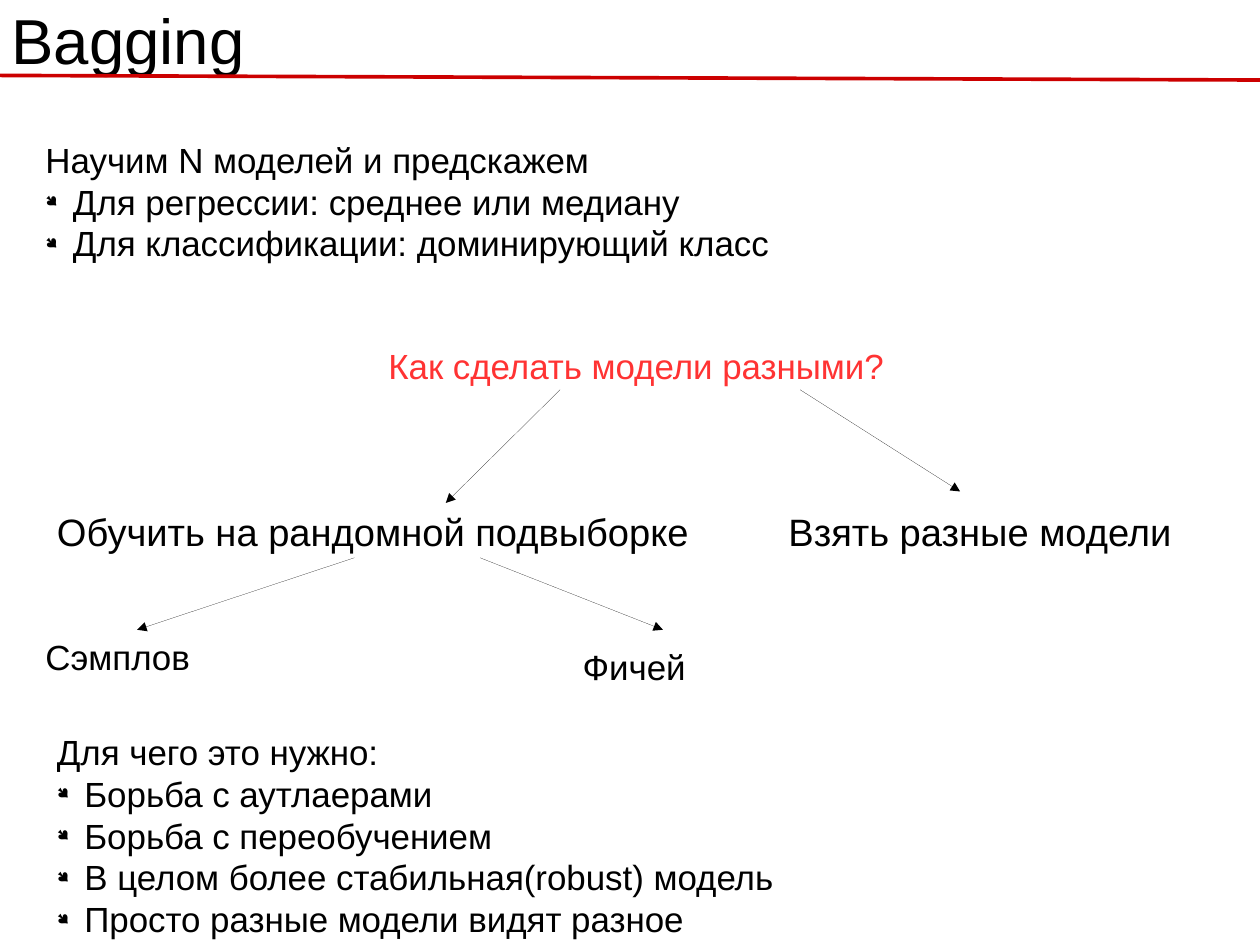
from dataclasses import dataclass

from lxml import etree
from pptx import Presentation
from pptx.dml.color import RGBColor
from pptx.enum.shapes import MSO_CONNECTOR
from pptx.enum.text import MSO_ANCHOR
from pptx.oxml.ns import qn
from pptx.slide import Slide
from pptx.util import Inches, Pt

STRAIGHT = MSO_CONNECTOR.STRAIGHT
TOP, MIDDLE = MSO_ANCHOR.TOP, MSO_ANCHOR.MIDDLE
FONT, BULLET_FONT = "Arial", "Wingdings"
COLORS = {"text": "000000", "question": "FF3333", "rule": "CC0000"}
CM_PER_INCH = 2.54
PAGE_WIDTH, PAGE_HEIGHT = 28 / CM_PER_INCH, 21 / CM_PER_INCH
BULLET_INDENT = Inches(0.24)


@dataclass(frozen=True)
class TextBlock:
    left: float
    top: float
    width: float
    height: float
    heading: str
    bullets: tuple[str, ...] = ()
    size: int = 22
    color: str = "text"


@dataclass(frozen=True)
class Line:
    start: tuple[float, float]
    end: tuple[float, float]
    color: str = "text"
    width: float = 0
    arrow: bool = True


TITLE = TextBlock(0.1, 0.03, 9.92, 0.62, "Bagging", size=40)
BLOCKS = (
    TextBlock(0.3, 1.16, 10.5, 1.81, "Научим N моделей и предскажем", (
        "Для регрессии: среднее или медиану",
        "Для классификации: доминирующий класс",
    )),
    TextBlock(3.3, 2.97, 10.5, 0.44, "Как сделать модели разными?", color="question"),
    TextBlock(0.4, 4.4, 5.9, 0.47, "Обучить на рандомной подвыборке", size=24),
    TextBlock(6.8, 4.4, 5.9, 0.47, "Взять разные модели", size=24),
    TextBlock(0.3, 5.51, 2.6, 0.44, "Сэмплов"),
    TextBlock(5, 5.6, 2.6, 0.44, "Фичей"),
    TextBlock(0.4, 6.34, 7, 2.15, "Для чего это нужно:", (
        "Борьба с аутлаерами",
        "Борьба с переобучением",
        "В целом более стабильная(robust) модель",
        "Просто разные модели видят разное",
    )),
)
LINES = (
    Line((0, 0.66), (PAGE_WIDTH, 0.7), color="rule", width=2.3, arrow=False),
    Line((4.9, 3.41), (3.9, 4.4)),
    Line((7, 3.41), (8.4, 4.3)),
    Line((3.1, 4.88), (1.2, 5.51)),
    Line((4.2, 4.88), (5.8, 5.51)),
)


def write_text(para, text: str, *, size: int, color: str, bullet: bool = False) -> None:
    span = para.add_run()
    span.text = text
    span.font.name = FONT
    span.font.size = Pt(size)
    span.font.color.rgb = RGBColor.from_string(COLORS[color])
    if bullet:
        props = para._p.get_or_add_pPr()
        props.set("marL", str(BULLET_INDENT))
        props.set("indent", str(-BULLET_INDENT))
        bullet_color = etree.SubElement(props, qn("a:buClr"))
        etree.SubElement(bullet_color, qn("a:srgbClr"), val=COLORS["text"])
        etree.SubElement(props, qn("a:buSzPct"), val="45000")
        etree.SubElement(props, qn("a:buFont"), typeface=BULLET_FONT, charset="2")
        etree.SubElement(props, qn("a:buChar"), char="●")


def add_block(page: Slide, block: TextBlock, *, inset_x: float = 0.1,
              inset_y: float = 0.05, anchor: MSO_ANCHOR = TOP) -> None:
    box = page.shapes.add_textbox(Inches(block.left), Inches(block.top),
                                  Inches(block.width), Inches(block.height))
    frame = box.text_frame
    frame.word_wrap = True
    frame.vertical_anchor = anchor
    frame.margin_left = frame.margin_right = Inches(inset_x)
    frame.margin_top = frame.margin_bottom = Inches(inset_y)
    write_text(frame.paragraphs[0], block.heading, size=block.size, color=block.color)
    for bullet in block.bullets:
        write_text(frame.add_paragraph(), bullet, size=block.size,
                   color=block.color, bullet=True)


def add_line(page: Slide, line: Line) -> None:
    """Draw a line whose width is always written, so that zero stays a hairline."""
    points = [Inches(value) for value in (*line.start, *line.end)]
    connector = page.shapes.add_connector(STRAIGHT, *points)
    connector.line.color.rgb = RGBColor.from_string(COLORS[line.color])
    outline = connector.line._get_or_add_ln()
    outline.set("w", str(Pt(line.width)))
    if line.arrow:
        etree.SubElement(outline, qn("a:tailEnd"), type="triangle")
    etree.SubElement(connector._element.spPr, qn("a:effectLst"))


def main() -> None:
    deck = Presentation()
    deck.slide_width, deck.slide_height = Inches(PAGE_WIDTH), Inches(PAGE_HEIGHT)
    page = deck.slides.add_slide(deck.slide_layouts[6])
    add_block(page, TITLE, inset_x=0, inset_y=0, anchor=MIDDLE)
    for block in BLOCKS:
        add_block(page, block)
    for line in LINES:
        add_line(page, line)
    deck.save("out.pptx")


if __name__ == "__main__":
    main()
